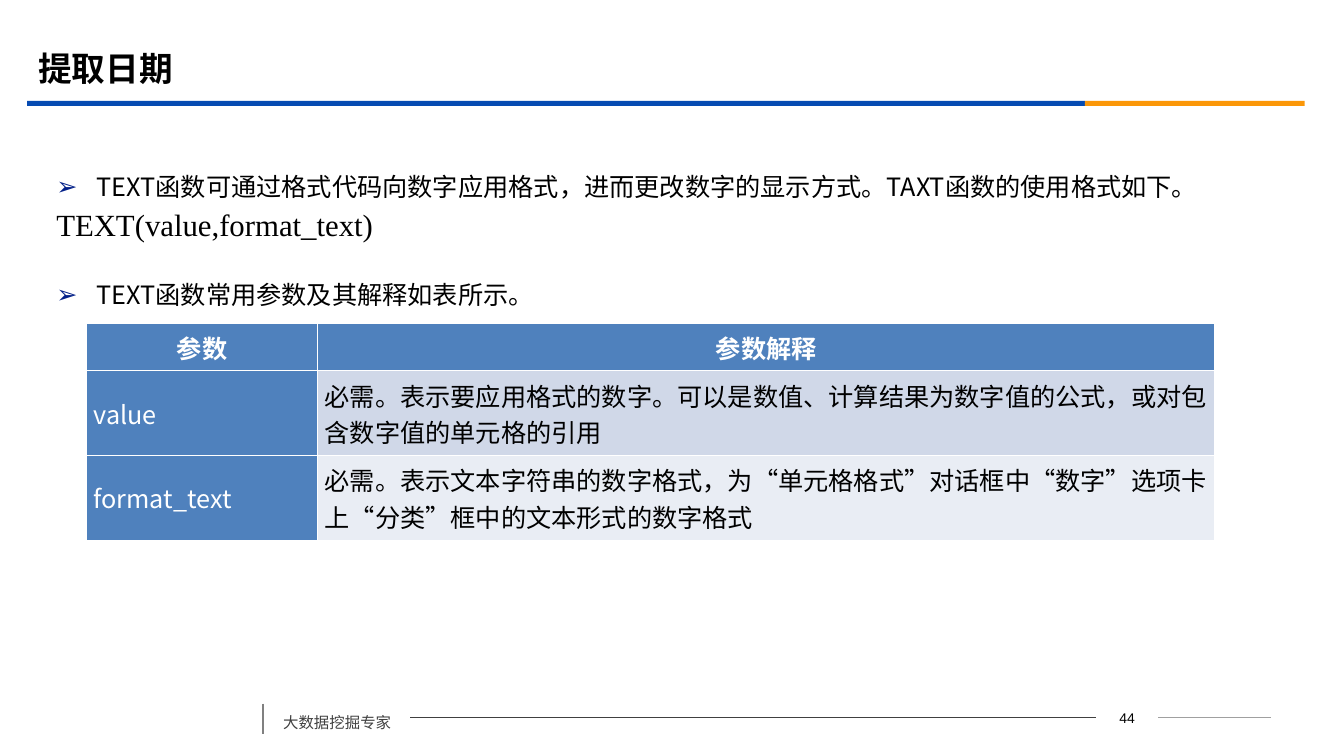
from typing import Any, NamedTuple, Optional

from lxml.etree import SubElement
from pptx import Presentation
from pptx.dml.color import RGBColor
from pptx.enum.shapes import MSO_CONNECTOR as CONN, MSO_SHAPE as SHAPE
from pptx.enum.text import MSO_ANCHOR as ANCHOR, MSO_AUTO_SIZE as AUTO, PP_ALIGN as ALIGN
from pptx.oxml import parse_xml
from pptx.oxml.ns import nsdecls, qn
from pptx.util import Inches, Pt

BLACK = RGBColor(0x00, 0x00, 0x00)
WHITE = RGBColor(0xFF, 0xFF, 0xFF)
BLUE = RGBColor(0x06, 0x4B, 0xB2)
ORANGE = RGBColor(0xFB, 0x97, 0x08)
DARK_GREY = RGBColor(0x40, 0x40, 0x40)
GREY = RGBColor(0x80, 0x80, 0x80)
LIGHT_GREY = RGBColor(0xA0, 0xA0, 0xA0)
BULLET = RGBColor(0x03, 0x20, 0x89)
HEADER = RGBColor(0x4F, 0x81, 0xBD)
BANDS = (RGBColor(0xD0, 0xD8, 0xE8), RGBColor(0xE9, 0xED, 0xF4))
CJK = "Noto Sans CJK SC"


class Box(NamedTuple):
    left: float
    top: float
    width: float
    height: float


class Style(NamedTuple):
    size: float
    color: RGBColor = BLACK
    font: str = CJK
    bold: bool = False
    align: Any = ALIGN.LEFT


class Bar(NamedTuple):
    box: Box
    color: RGBColor


class Label(NamedTuple):
    text: str
    box: Box
    style: Style
    anchor: Any = ANCHOR.TOP
    top_inset: float = 0.05


class Rule(NamedTuple):
    start: tuple[float, float]
    end: tuple[float, float]
    color: RGBColor
    width: float
    begin_label: Optional[int] = None
    end_label: Optional[int] = None


class Bullet(NamedTuple):
    text: str
    space_before: float


BARS = [Bar(Box(0.27, 1, 10.49, 0.05), BLUE), Bar(Box(10.76, 1, 2.18, 0.05), ORANGE)]
LABELS = [
    Label("大数据挖掘专家", Box(2.71, 6.93, 1.36, 0.38), Style(11, DARK_GREY), top_inset=0.14),
    Label("44", Box(10.87, 6.99, 0.62, 0.26), Style(10, font="Arial", align=ALIGN.CENTER), ANCHOR.MIDDLE),
    Label("TEXT(value,format_text)", Box(0.46, 1.99, 10.22, 0.47), Style(22, font="Times New Roman")),
]
RULES = [
    Rule((2.61, 6.98), (2.61, 7.28), GREY, 1.25),
    Rule((4.07, 7.12), (10.87, 7.12), DARK_GREY, 0.75, 0, 1),
    Rule((11.49, 7.12), (12.61, 7.12), LIGHT_GREY, 0.75, 1),
]
BULLETS = [
    Bullet("TEXT函数可通过格式代码向数字应用格式，进而更改数字的显示方式。TAXT函数的使用格式如下。", 0),
    Bullet("TEXT函数常用参数及其解释如表所示。", 45),
]
ROWS = [
    ("参数", "参数解释"),
    ("value", "必需。表示要应用格式的数字。可以是数值、计算结果为数字值的公式，或对包含数字值的单元格的引用"),
    ("format_text", "必需。表示文本字符串的数字格式，为“单元格格式”对话框中“数字”选项卡上“分类”框中的文本形式的数字格式"),
]
COL_WIDTHS = (2.29, 8.9)
ROW_HEIGHTS = (0.47, 0.84, 0.84)


def inches(box: Box) -> list:
    return [Inches(v) for v in box]


def apply(obj: Any, values: dict) -> None:
    for name, value in values.items():
        setattr(obj, name, value)


def write(p: Any, text: str, style: Style) -> None:
    p.alignment = style.align
    r = p.add_run()
    r.text = text
    apply(r.font, {"size": Pt(style.size), "name": style.font, "bold": style.bold})
    r.font.color.rgb = style.color
    SubElement(r.font._element, qn("a:ea"), typeface=style.font)


def place(sp: Any, box: Box, anchor: Any, top_inset: float = 0.05) -> Any:
    apply(sp, dict(zip(("left", "top", "width", "height"), inches(box))))
    tf = sp.text_frame
    apply(tf, {
        "word_wrap": True, "auto_size": AUTO.NONE, "vertical_anchor": anchor,
        "margin_left": Inches(0.1), "margin_right": Inches(0.1),
        "margin_top": Inches(top_inset), "margin_bottom": Inches(0.05),
    })
    return tf


def add_bar(slide: Any, bar: Bar) -> None:
    sp = slide.shapes.add_shape(SHAPE.RECTANGLE, *inches(bar.box))
    sp.shadow.inherit = False
    sp.fill.solid()
    sp.fill.fore_color.rgb = bar.color
    sp.line.fill.background()


def add_label(slide: Any, label: Label) -> Any:
    sp = slide.shapes.add_textbox(*inches(label.box))
    tf = place(sp, label.box, label.anchor, label.top_inset)
    write(tf.paragraphs[0], label.text, label.style)
    return sp


def add_rule(slide: Any, rule: Rule, labels: list) -> None:
    ends = [Inches(v) for v in rule.start + rule.end]
    line = slide.shapes.add_connector(CONN.STRAIGHT, *ends)
    line.line.color.rgb = rule.color
    line.line.width = Pt(rule.width)
    SubElement(line._element.spPr, qn("a:effectLst"))
    if rule.begin_label is not None:
        line.begin_connect(labels[rule.begin_label], 3)
    if rule.end_label is not None:
        line.end_connect(labels[rule.end_label], 1)


def add_bullets(tf: Any, bullets: list[Bullet]) -> None:
    for i, bullet in enumerate(bullets):
        p = tf.add_paragraph() if i else tf.paragraphs[0]
        apply(p, {"line_spacing": 1.5, "space_before": Pt(bullet.space_before)})
        pPr = p._p.get_or_add_pPr()
        pPr.set("marL", str(Inches(0.4)))
        pPr.set("indent", str(-Inches(0.4)))
        color = SubElement(pPr, qn("a:buClr"))
        SubElement(color, qn("a:srgbClr"), val=str(BULLET))
        SubElement(pPr, qn("a:buFont"), typeface="Arial")
        SubElement(pPr, qn("a:buChar"), char="➢")
        write(p, bullet.text, Style(18))


def fill_cell(cell: Any, text: str, fill: RGBColor, style: Style) -> None:
    apply(cell, {
        "vertical_anchor": ANCHOR.MIDDLE, "margin_left": Inches(0.07),
        "margin_right": Inches(0.07), "margin_top": 0, "margin_bottom": 0,
    })
    write(cell.text_frame.paragraphs[0], text, style)
    cell.fill.solid()
    cell.fill.fore_color.rgb = fill
    tcPr = cell._tc.get_or_add_tcPr()
    for i, side in enumerate("LRTB"):
        tcPr.insert(i, parse_xml(
            f'<a:ln{side} {nsdecls("a")} w="{Pt(1)}"><a:solidFill>'
            f'<a:srgbClr val="{WHITE}"/></a:solidFill></a:ln{side}>'))


def add_parameter_table(slide: Any) -> None:
    box = Box(0.86, 3.21, sum(COL_WIDTHS), sum(ROW_HEIGHTS))
    table = slide.shapes.add_table(len(ROWS), len(COL_WIDTHS), *inches(box)).table
    for col, width in zip(table.columns, COL_WIDTHS):
        col.width = Inches(width)
    for row, height in zip(table.rows, ROW_HEIGHTS):
        row.height = Inches(height)
    for i, texts in enumerate(ROWS):
        for j, text in enumerate(texts):
            head = i == 0
            fill, color = (HEADER, WHITE) if head or j == 0 else (BANDS[i - 1], BLACK)
            style = Style(18, color, bold=head, align=ALIGN.CENTER if head else ALIGN.LEFT)
            fill_cell(table.cell(i, j), text, fill, style)


def main() -> None:
    prs = Presentation()
    apply(prs, {"slide_width": Inches(13.33), "slide_height": Inches(7.5)})
    slide = prs.slides.add_slide(prs.slide_layouts[1])
    title, body = slide.placeholders
    for bar in BARS:
        add_bar(slide, bar)
    tf = place(title, Box(0.28, 0.39, 12, 0.58), ANCHOR.MIDDLE)
    write(tf.paragraphs[0], "提取日期", Style(24, bold=True))
    add_bullets(place(body, Box(0.46, 1.36, 12.15, 4.78), ANCHOR.TOP, 0.19), BULLETS)
    labels = [add_label(slide, label) for label in LABELS]
    for rule in RULES:
        add_rule(slide, rule, labels)
    add_parameter_table(slide)
    prs.save("out.pptx")


if __name__ == "__main__":
    main()
